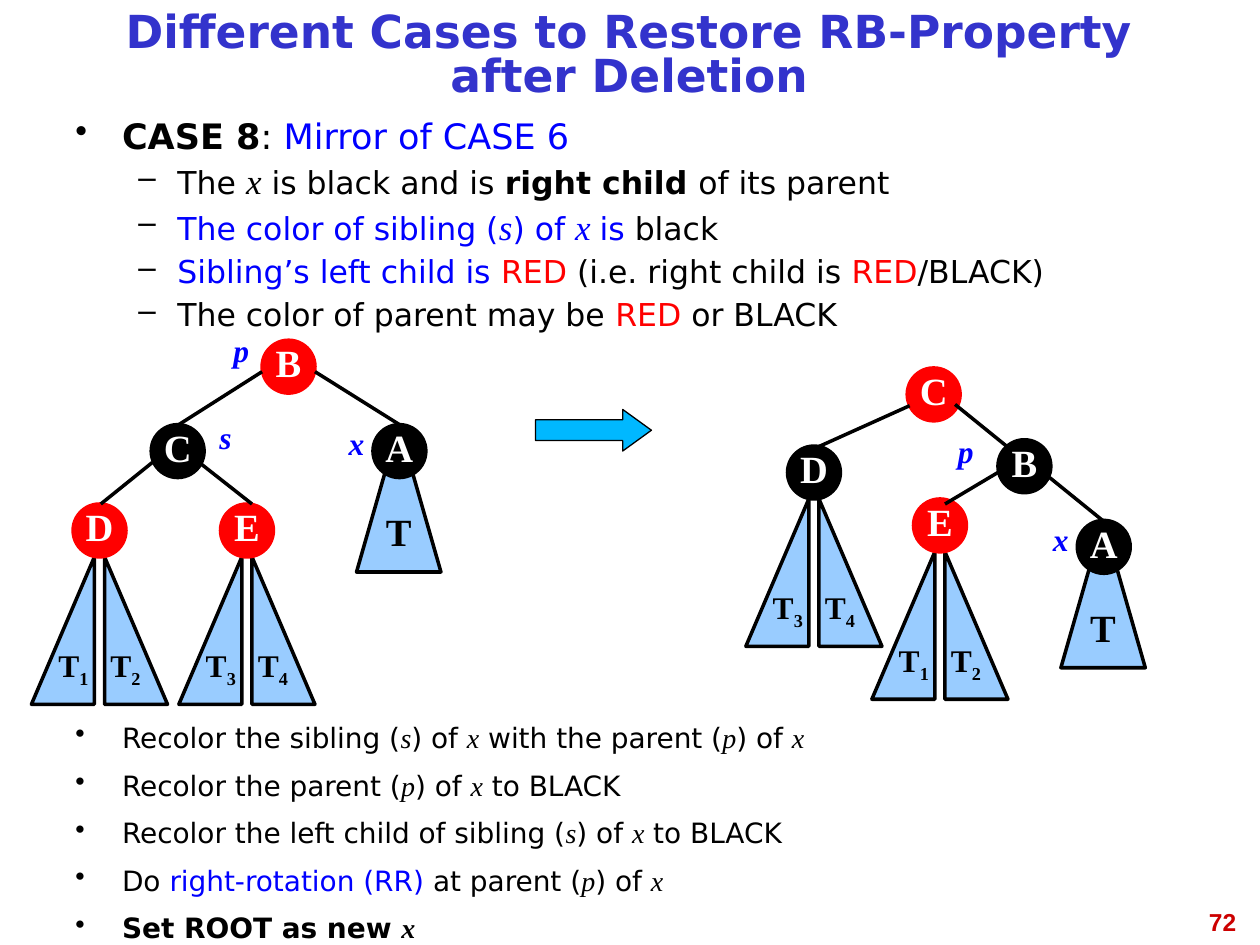
import lxml.etree
import pptx
import pptx.dml.color
import pptx.enum.shapes
import pptx.enum.text
import pptx.oxml.ns
import pptx.util

Inches = pptx.util.Inches
RGBColor = pptx.dml.color.RGBColor
SHAPE = pptx.enum.shapes.MSO_SHAPE
ALIGN = pptx.enum.text.PP_ALIGN
MIDDLE = pptx.enum.text.MSO_ANCHOR.MIDDLE
qn = pptx.oxml.ns.qn

BLACK = RGBColor(0x00, 0x00, 0x00)
WHITE = RGBColor(0xFF, 0xFF, 0xFF)
RED = RGBColor(0xFF, 0x00, 0x00)
BLUE = RGBColor(0x00, 0x00, 0xFF)
TITLE_BLUE = RGBColor(0x33, 0x33, 0xCC)
NUMBER_RED = RGBColor(0xCC, 0x00, 0x00)
SUBTREE_BLUE = RGBColor(0x99, 0xCC, 0xFF)
ARROW_BLUE = RGBColor(0x00, 0xB8, 0xFF)
SANS = "DejaVu Sans"
SERIF = "Times New Roman"
NODE = 0.42


def add_span(para, text, size=18, color=BLACK, font=SANS, bold=False, italic=False, baseline=0):
    span = para.add_run()
    span.text = text
    span.font.size = pptx.util.Pt(size)
    span.font.color.rgb = color
    span.font.name = font
    span.font.bold = bold
    span.font.italic = italic
    if baseline:
        span.font._element.set("baseline", str(baseline * 1000))


def add_figure(kind, left, top, width, height, fill, line=BLACK, weight=2):
    figure = page.shapes.add_shape(kind, Inches(left), Inches(top), Inches(width), Inches(height))
    figure.shadow.inherit = False
    figure.fill.solid()
    figure.fill.fore_color.rgb = fill
    figure.line.color.rgb = line
    figure.line.width = pptx.util.Pt(weight)
    figure.text_frame.word_wrap = False
    figure.text_frame.vertical_anchor = MIDDLE
    para = figure.text_frame.paragraphs[0]
    para.alignment = ALIGN.CENTER
    para.line_spacing = 0.81
    return figure


deck = pptx.Presentation()
deck.slide_width = Inches(10)
deck.slide_height = Inches(7.5)
page = deck.slides.add_slide(deck.slide_layouts[6])

variable = dict(size=20, font=SERIF, italic=True)
case_lines = [
    [("CASE 8", dict(size=20, bold=True)), (": ", dict(size=20)),
     ("Mirror of CASE 6", dict(size=20, color=BLUE))],
    [("The ", {}), ("x", variable), (" is black and is ", {}),
     ("right child ", dict(bold=True)), ("of its parent", {})],
    [("The color of sibling (", dict(color=BLUE)), ("s", dict(variable, color=BLUE)),
     (") of ", dict(color=BLUE)), ("x ", dict(variable, color=BLUE)),
     ("is ", dict(color=BLUE)), ("black", {})],
    [("Sibling’s left child is ", dict(color=BLUE)), ("RED ", dict(color=RED)),
     ("(i.e. right child is ", {}), ("RED", dict(color=RED)), ("/BLACK)", {})],
    [("The color of parent may be ", {}), ("RED", dict(color=RED)), (" or BLACK", {})],
]
step = dict(size=16)
step_variable = dict(size=16, font=SERIF, italic=True)
s, x, p = [(letter, step_variable) for letter in "sxp"]
step_lines = [
    [("Recolor the sibling (", step), s, (") of ", step), x,
     (" with the parent (", step), p, (") of ", step), x],
    [("Recolor the parent (", step), p, (") of ", step), x, (" to BLACK", step)],
    [("Recolor the left child of sibling (", step), s, (") of ", step), x, (" to BLACK", step)],
    [("Do ", step), ("right-rotation (RR)", dict(step, color=BLUE)),
     (" at parent (", step), p, (") of ", step), x],
    [("Set ROOT as new ", dict(step, bold=True)), ("x", dict(step_variable, bold=True))],
]
for top, height, lines, spacing, sub_level in [
    (0.92, 1.92, case_lines, 0.8, 1), (5.67, 1.67, step_lines, 1.0, 0),
]:
    box = page.shapes.add_textbox(Inches(0.5), Inches(top), Inches(8.99), Inches(height))
    box.text_frame.word_wrap = True
    for index, spans in enumerate(lines):
        para = box.text_frame.paragraphs[0] if index == 0 else box.text_frame.add_paragraph()
        level = sub_level if index else 0
        para.level = level
        para.alignment = ALIGN.JUSTIFY
        para.line_spacing = spacing
        if index:
            para.space_before = pptx.util.Pt(8 - level)
        margin, hanging, mark = [(0.37, 0.37, "•"), (0.81, 0.31, "–")][level]
        properties = para._p.get_or_add_pPr()
        properties.set("marL", str(Inches(margin)))
        properties.set("indent", str(-Inches(hanging)))
        bullet_color = lxml.etree.SubElement(properties, qn("a:buClr"))
        lxml.etree.SubElement(bullet_color, qn("a:srgbClr")).set("val", str(BLACK))
        lxml.etree.SubElement(properties, qn("a:buChar")).set("char", mark)
        for text, style in spans:
            add_span(para, text, **style)

nodes = [
    ("B", 2.08, 2.7, RED, ""),
    ("C", 1.2, 3.37, BLACK, ""),
    ("A", 2.96, 3.37, BLACK, "T"),
    ("D", 0.58, 4, RED, "12"),
    ("E", 1.75, 4, RED, "34"),
    ("C", 7.2, 2.92, RED, ""),
    ("D", 6.25, 3.54, BLACK, "34"),
    ("B", 7.92, 3.49, BLACK, ""),
    ("E", 7.25, 3.96, RED, "12"),
    ("A", 8.55, 4.13, BLACK, "T"),
]
for letter, left, top, color, subtree in nodes:
    if subtree == "T":
        triangle = add_figure(SHAPE.ISOSCELES_TRIANGLE, left - 0.13, top, 0.67, 1.17, SUBTREE_BLUE)
        add_span(triangle.text_frame.paragraphs[0], "T", size=22, font=SERIF, bold=True)
    else:
        for number, offset in zip(subtree, (-0.33, 0.25)):
            triangle = add_figure(
                SHAPE.RIGHT_TRIANGLE, left + offset, top + NODE, 0.5, 1.17, SUBTREE_BLUE)
            if offset < 0:
                triangle._element.spPr.xfrm.set("flipH", "1")
            para = triangle.text_frame.paragraphs[0]
            add_span(para, "T", font=SERIF, bold=True)
            add_span(para, number, font=SERIF, bold=True, baseline=-25)
    circle = add_figure(SHAPE.OVAL, left, top, NODE, NODE, color, color)
    add_span(circle.text_frame.paragraphs[0], letter, size=22, color=WHITE, font=SERIF, bold=True)

edges = [
    (2.5, 2.95, 3.17, 3.37), (1.42, 3.37, 2.08, 2.95),
    (0.8, 4, 1.21, 3.67), (2, 4, 1.58, 3.67),
    (6.42, 3.58, 7.22, 3.22), (8, 3.55, 7.58, 3.21),
    (7.5, 4, 7.92, 3.75), (8.75, 4.13, 8.33, 3.79),
]
for ends in edges:
    edge = page.shapes.add_connector(
        pptx.enum.shapes.MSO_CONNECTOR.STRAIGHT, *[Inches(value) for value in ends])
    edge.line.color.rgb = BLACK
    edge.line.width = pptx.util.Pt(2)
    lxml.etree.SubElement(edge._element.spPr, qn("a:effectLst"))

arrow = add_figure(SHAPE.RIGHT_ARROW, 4.25, 3.25, 0.92, 0.33, ARROW_BLUE, weight=0.75)
arrow.adjustments[1] = 0.69

label = dict(color=BLUE, font=SERIF, bold=True, italic=True)
captions = [
    ("Different Cases to Restore RB-Property after Deletion", 0.5, 0.08, 8.99, 0.75,
     ALIGN.CENTER, dict(size=26, color=TITLE_BLUE, bold=True)),
    ("p", 1.5, 2.58, 0.83, 0.4, ALIGN.CENTER, label),
    ("x", 2.58, 3.32, 0.5, 0.4, ALIGN.CENTER, label),
    ("s", 1.5, 3.27, 0.58, 0.4, ALIGN.CENTER, label),
    ("p", 7.25, 3.38, 0.83, 0.4, ALIGN.CENTER, label),
    ("x", 8.17, 4.08, 0.5, 0.4, ALIGN.CENTER, label),
    ("72", 7.58, 7.15, 2.33, 0.52, ALIGN.RIGHT,
     dict(size=14, color=NUMBER_RED, font="Arial", bold=True)),
]
for text, left, top, width, height, alignment, style in captions:
    box = page.shapes.add_textbox(Inches(left), Inches(top), Inches(width), Inches(height))
    box.text_frame.word_wrap = True
    para = box.text_frame.paragraphs[0]
    para.alignment = alignment
    if top == 0.08:
        box.text_frame.vertical_anchor = MIDDLE
        para.line_spacing = 0.81
    add_span(para, text, **style)

deck.save("out.pptx")
